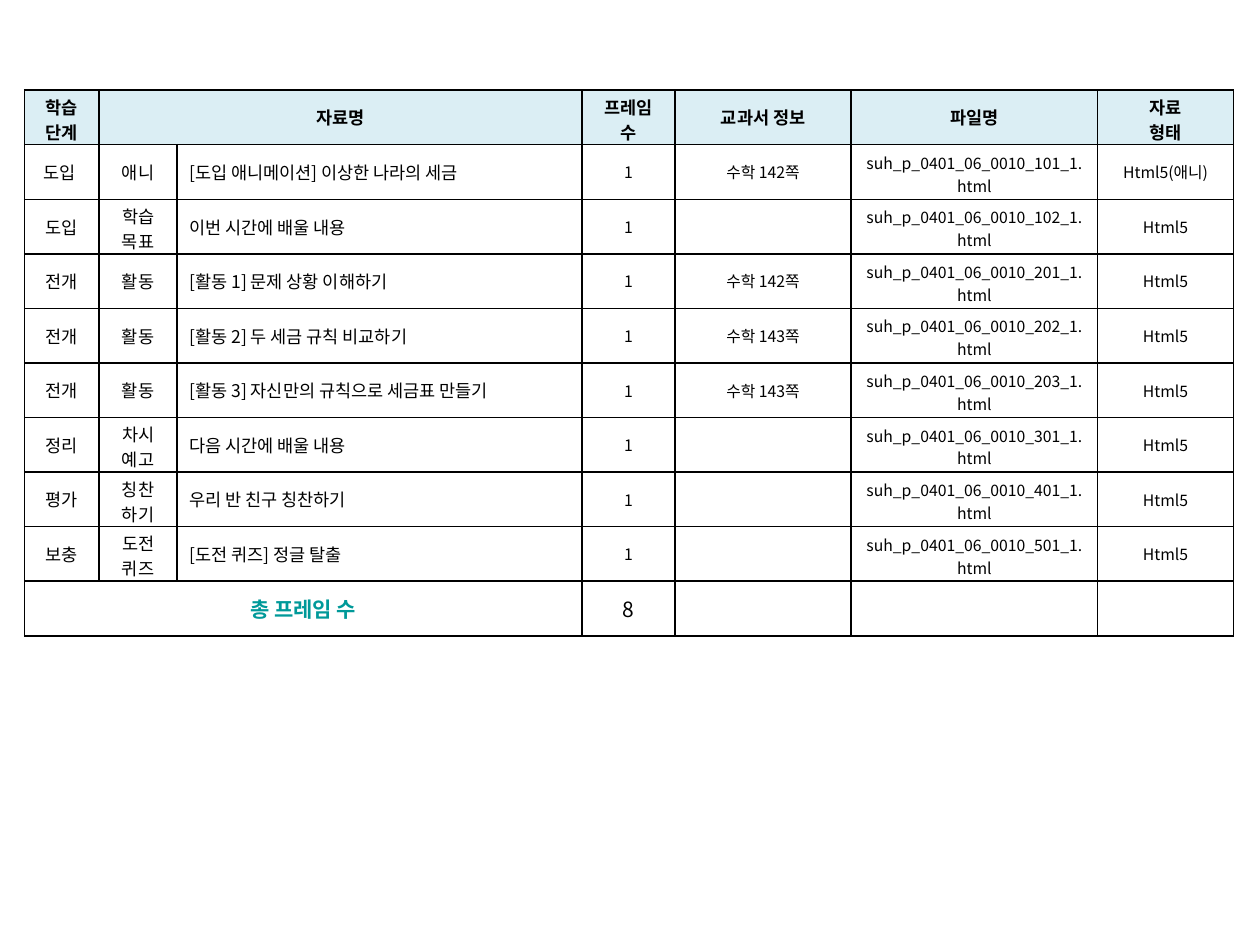
from dataclasses import dataclass
from typing import NamedTuple

from lxml.etree import SubElement
from pptx import Presentation
from pptx.dml.color import RGBColor
from pptx.enum.text import MSO_ANCHOR, PP_ALIGN
from pptx.oxml.ns import qn
from pptx.util import Pt


@dataclass(frozen=True)
class Theme:
    font: str = "Noto Sans CJK KR"
    ink: str = "000000"
    teal: str = "009999"
    head: str = "DBEEF4"
    small: int = 9
    body: int = 10
    total: int = 12


class Look(NamedTuple):
    size: int
    color: str
    bold: bool = False
    align: PP_ALIGN = PP_ALIGN.CENTER
    fill: str = ""


class Item(NamedTuple):
    stage: str
    kind: str
    title: str
    book: str
    code: str
    form: str = "Html5"


THEME = Theme()
HEAD = Look(THEME.body, THEME.ink, True, fill=THEME.head)
BODY = Look(THEME.body, THEME.ink)
TITLE = Look(THEME.body, THEME.ink, align=PP_ALIGN.LEFT)
SMALL = Look(THEME.small, THEME.ink)
LABEL = Look(THEME.total, THEME.teal, True)
COUNT = Look(THEME.total, THEME.ink)

WIDTHS = [42.6, 44.6, 231.4, 53.2, 100.6, 140.9, 77.7]
HIGH = 31.2
INSET = 3.6
LEAD = 1.45
HEADS = ["학습 단계", "자료명", "", "프레임 수", "교과서 정보", "파일명", "자료\n형태"]
LOOKS = [BODY, BODY, TITLE, SMALL, SMALL, SMALL, SMALL]
ITEMS = [
    Item("도입 ", "애니", "[도입 애니메이션] 이상한 나라의 세금", "수학 142쪽", "101", "Html5(애니)"),
    Item("도입", "학습 목표", "이번 시간에 배울 내용", "", "102"),
    Item("전개", "활동", "[활동 1] 문제 상황 이해하기", "수학 142쪽", "201"),
    Item("전개", "활동", "[활동 2] 두 세금 규칙 비교하기", "수학 143쪽", "202"),
    Item("전개", "활동", "[활동 3] 자신만의 규칙으로 세금표 만들기", "수학 143쪽", "203"),
    Item("정리", "차시 예고", "다음 시간에 배울 내용", "", "301"),
    Item("평가", "칭찬\n하기", "우리 반 친구 칭찬하기", "", "401"),
    Item("보충", "도전 퀴즈", "[도전 퀴즈] 정글 탈출", "", "501"),
]
# Texts that take two lines in their column
PAIRS = {"학습 단계", "프레임 수", "자료\n형태"}
PAIRS |= {item.kind for item in ITEMS if len(item.kind) > 2}


def add_edges(cell) -> None:
    props = cell._tc.get_or_add_tcPr()
    for side in ("lnL", "lnR", "lnT", "lnB"):
        line = SubElement(props, qn(f"a:{side}"), w=str(Pt(1)))
        fill = SubElement(line, qn("a:solidFill"))
        SubElement(fill, qn("a:srgbClr"), val=THEME.ink)


def place_text(cell, text: str, look: Look) -> None:
    cell.vertical_anchor = MSO_ANCHOR.MIDDLE
    if text in PAIRS or text.endswith(".html"):
        # Two lines fit the row when the bottom inset is dropped
        room = HIGH - 2 * LEAD * look.size
        cell.vertical_anchor = MSO_ANCHOR.TOP
        cell.margin_top = Pt(min(INSET, room))
        cell.margin_bottom = Pt(0)


def fill_cell(cell, text: str, look: Look) -> None:
    add_edges(cell)
    if look.fill:
        cell.fill.solid()
        cell.fill.fore_color.rgb = RGBColor.from_string(look.fill)
    else:
        cell.fill.background()
    place_text(cell, text, look)
    cell.text_frame.text = text
    for para in cell.text_frame.paragraphs:
        para.alignment = look.align
        for run in para.runs:
            font = run.font
            font.size, font.bold, font.name = Pt(look.size), look.bold, THEME.font
            font.color.rgb = RGBColor.from_string(look.color)
            props = run._r.get_or_add_rPr()
            props.set("kern", "0")
            SubElement(props, qn("a:ea"), typeface=THEME.font)
        if not para.runs:
            # Keep blank cells from growing the row
            SubElement(para._p, qn("a:endParaRPr"), sz=str(look.size * 100))


def fill_row(table, row: int, texts: list[str], looks: list[Look]) -> None:
    for col, (text, look) in enumerate(zip(texts, looks)):
        fill_cell(table.cell(row, col), text, look)


# Slide
deck = Presentation()
deck.slide_width, deck.slide_height = Pt(720), Pt(540)
slide = deck.slides.add_slide(deck.slide_layouts[6])

# Table grid
count = len(ITEMS) + 2
last = count - 1
table = slide.shapes.add_table(
    count, len(WIDTHS), Pt(14), Pt(51.5), Pt(sum(WIDTHS)), Pt(HIGH * count)
).table
table.first_row = table.horz_banding = False
for col, width in zip(table.columns, WIDTHS):
    col.width = Pt(width)
for row in table.rows:
    row.height = Pt(HIGH)

# Header, items and total
fill_row(table, 0, HEADS, [HEAD] * len(HEADS))
for row, item in enumerate(ITEMS, 1):
    file = f"suh_p_0401_06_0010_{item.code}_1.html"
    texts = [item.stage, item.kind, item.title, "1", item.book, file, item.form]
    fill_row(table, row, texts, LOOKS)
fill_row(table, last, ["총 프레임 수", "", "", "8", "", "", ""], [LABEL] * 3 + [COUNT] * 4)

# Merged cells
table.cell(0, 1).merge(table.cell(0, 2))
table.cell(last, 0).merge(table.cell(last, 2))

deck.save("out.pptx")
